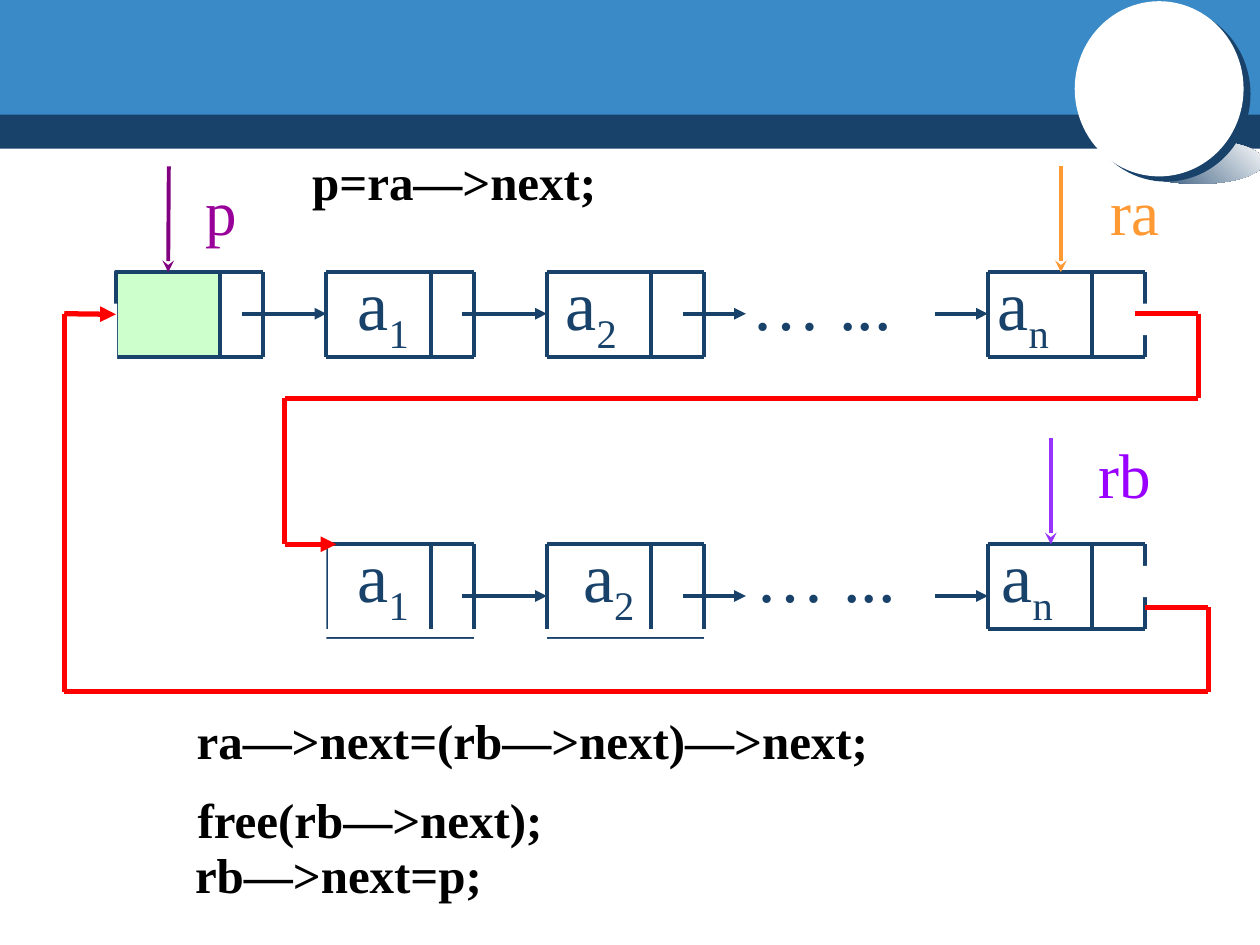
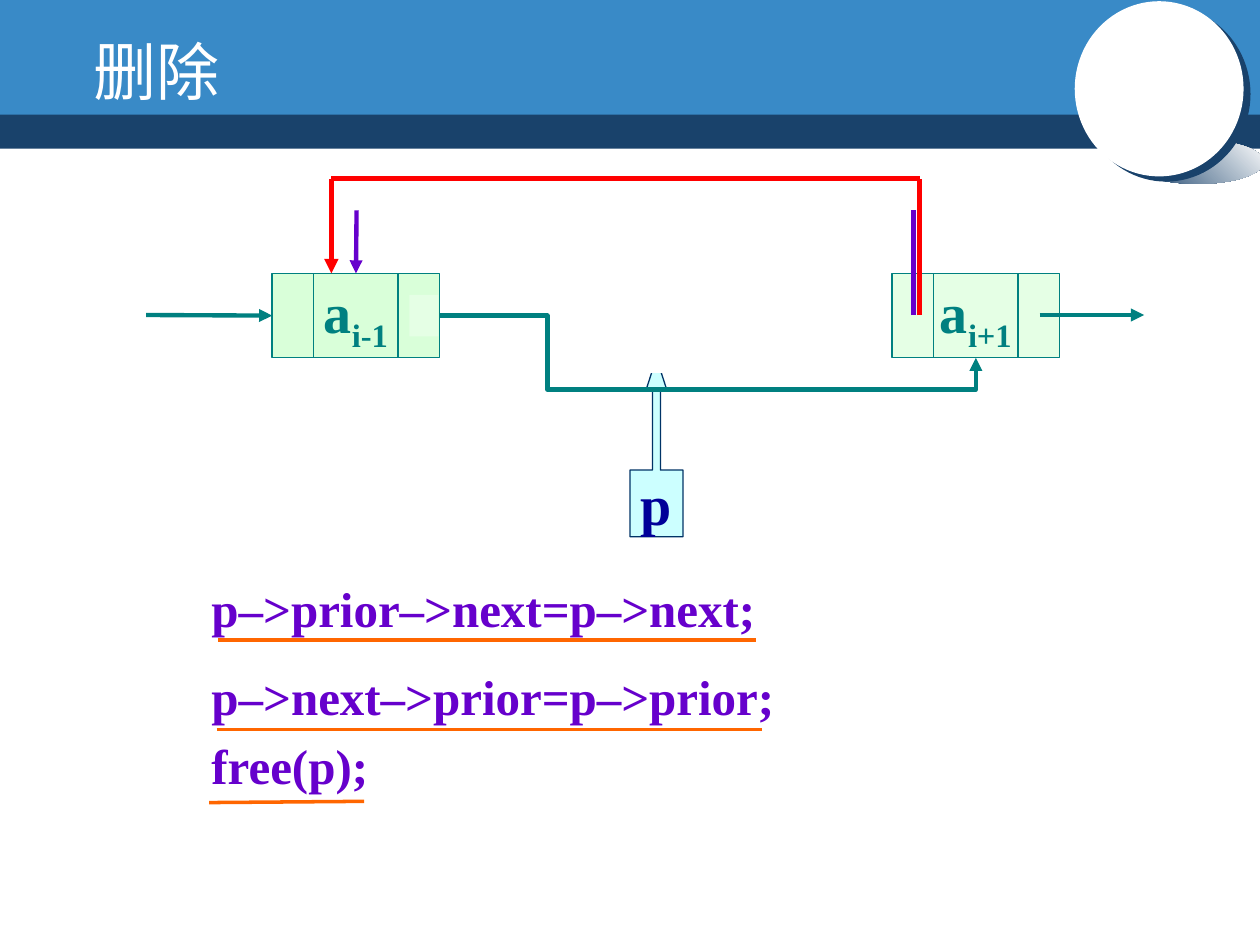
from lxml import etree
from pptx import Presentation
from pptx.dml.color import RGBColor
from pptx.enum.shapes import MSO_CONNECTOR, MSO_SHAPE
from pptx.enum.text import MSO_ANCHOR, PP_ALIGN
from pptx.oxml.ns import qn
from pptx.util import Inches, Pt

RECTANGLE, OVAL = MSO_SHAPE.RECTANGLE, MSO_SHAPE.OVAL
CALLOUT = MSO_SHAPE.UP_ARROW_CALLOUT
STRAIGHT, ELBOW = MSO_CONNECTOR.STRAIGHT, MSO_CONNECTOR.ELBOW
LEFT, CENTER = PP_ALIGN.LEFT, PP_ALIGN.CENTER
MIDDLE = MSO_ANCHOR.MIDDLE
TOP_SIDE, LEFT_SIDE, BOTTOM_SIDE, RIGHT_SIDE = range(4)

FONT = "Times New Roman"
NAVY, BLUE, WHITE, BLACK = "19426B", "398AC7", "FFFFFF", "000000"
RED, ORANGE, TEAL, PURPLE = "FF0000", "FF6600", "008080", "6600CC"
MINT, PALE_MINT = "D9FFD9", "E5FFE5"


def rgb(color):
    return RGBColor.from_string(color)


def write(frame, text, size=28, color=BLACK, bold=False, align=LEFT,
          space_before=0, line_spacing=None, new=False):
    """Write one paragraph; what follows an underscore is a subscript."""
    para = frame.add_paragraph() if new else frame.paragraphs[0]
    para.alignment = align
    para.space_before = Pt(space_before)
    if line_spacing:
        para.line_spacing = line_spacing
    base, _, subscript = text.partition("_")
    for part, offset in ((base, 0), (subscript, -25000)):
        if not part:
            continue
        span = para.add_run()
        span.text = part
        span.font.name = FONT
        span.font.size = Pt(size)
        span.font.bold = bold
        span.font.color.rgb = rgb(color)
        if offset:
            span._r.get_or_add_rPr().set("baseline", str(offset))


class Painter:
    """Holds the deck, its shared style and the page being drawn."""

    def __init__(self):
        self.deck = Presentation()
        self.deck.slide_width, self.deck.slide_height = Inches(10), Inches(7.5)
        self.page = None

    def start_page(self):
        self.page = self.deck.slides.add_slide(self.deck.slide_layouts[6])
        self.shape(0, 0.84, 10, 0.34, NAVY)
        self.shape(0, 0, 10, 0.91, BLUE)
        glow = self.shape(8.98, 1.11, 1.05, 0.35, NAVY, kind=OVAL)
        glow.fill.gradient()
        glow.fill.gradient_angle = 45
        for stop, color, place in zip(glow.fill.gradient_stops, (NAVY, WHITE), (0, 1)):
            stop.color.rgb = rgb(color)
            stop.position = place
        self.drop_shadow(self.shape(8.53, 0.01, 1.34, 1.39, WHITE, kind=OVAL))

    def drop_shadow(self, shape):
        effects = shape.element.spPr.find(qn("a:effectLst"))
        shadow = etree.SubElement(effects, qn("a:outerShdw"), blurRad="0",
                                  dist=str(Pt(5)), dir=str(37 * 60000),
                                  algn="ctr", rotWithShape="0")
        etree.SubElement(shadow, qn("a:srgbClr"), val=NAVY)

    def shape(self, left, top, width, height, fill, kind=RECTANGLE, line=None, line_width=0.75):
        shape = self.page.shapes.add_shape(
            kind, Inches(left), Inches(top), Inches(width), Inches(height))
        shape.shadow.inherit = False
        shape.fill.solid()
        shape.fill.fore_color.rgb = rgb(fill)
        if line:
            shape.line.color.rgb = rgb(line)
            shape.line.width = Pt(line_width)
        else:
            shape.line.fill.background()
        return shape

    def caption(self, shape, text, color):
        frame = shape.text_frame
        frame.word_wrap = False
        frame.vertical_anchor = MIDDLE
        write(frame, text, size=32, color=color, bold=True, align=CENTER)

    def text(self, left, top, width, height, text, wrap=True, **style):
        box = self.page.shapes.add_textbox(
            Inches(left), Inches(top), Inches(width), Inches(height))
        box.text_frame.word_wrap = wrap
        write(box.text_frame, text, **style)
        return box.text_frame

    def line(self, start, end, color, width, head=None, target=None, kind=STRAIGHT):
        """Draw a line; target is a shape and the side on which the line ends."""
        line = self.page.shapes.add_connector(kind, *map(Inches, (*start, *end)))
        if target:
            line.end_connect(*target)
        line.line.color.rgb = rgb(color)
        line.line.width = Pt(width)
        properties = line.element.spPr
        if head:
            etree.SubElement(properties.find(qn("a:ln")), qn("a:tailEnd"), type=head)
        etree.SubElement(properties, qn("a:effectLst"))
        return line

    def route(self, points, color, width, target=None):
        """Join the points with straight lines, the last one an arrow."""
        last = len(points) - 2
        for index, (start, end) in enumerate(zip(points, points[1:])):
            final = index == last
            self.line(start, end, color, width, "triangle" if final else None,
                      target if final else None)

    def elbow(self, start, end, source, target, color, width, bends):
        line = self.line(start, end, color, width, "triangle", target, ELBOW)
        line.begin_connect(*source)
        geometry = line.element.spPr.find(qn("a:prstGeom"))
        geometry.set("prst", "bentConnector4")
        guides = geometry.find(qn("a:avLst"))
        if guides is None:
            guides = etree.SubElement(geometry, qn("a:avLst"))
        for number, bend in enumerate(bends, 1):
            etree.SubElement(guides, qn("a:gd"), name=f"adj{number}",
                             fmla=f"val {round(bend * 100000)}")

    def list_node(self, left, right, top, base):
        """Draw an open cell pair whose sides are 0.67 high and whose base may lie lower."""
        for y in (top, base):
            self.line((left, y), (right, y), NAVY, 2.25)
        for x in (left, left + 0.83, right):
            self.line((x, top), (x, top + 0.67), NAVY, 2.25)


def draw_list_merge(painter):
    painter.start_page()
    first, second, last = (2.59, 3.76), (4.34, 5.59), (7.84, 9.09)
    upper, lower = 2.16, 4.32

    for node in ((0.92, 2.09), first, second, last):
        painter.list_node(*node, upper, upper + 0.67)
    for node, base in ((first, 5.07), (second, 5.07), (last, 4.99)):
        painter.list_node(*node, lower, base)
    header = painter.shape(0.92, upper, 0.83, 0.67, "CCFFCC", line=NAVY, line_width=2.25)

    links = [(3.67, 4.34), (5.42, 5.92), (7.42, 7.84)]
    for y, row_links in ((2.49, [(1.92, 2.59), *links]), (4.73, links)):
        for start, end in row_links:
            painter.line((start, y), (end, y), NAVY, 2.25, "triangle")

    for top, lefts in ((upper, (2.74, 4.39, 5.87, 7.82)), (lower, (2.74, 4.53, 5.9, 7.85))):
        for left, label in zip(lefts, ("a_1", "a_2", "… ...", "a_n")):
            painter.text(left, top - 0.14, 1.4, 0.8, label, size=40, color=NAVY)

    for gap in ((0.26, 2.41, 0.67, 0.67), (8.84, 2.41, 0.67, 0.25), (8.84, 4.49, 0.67, 0.25),
                (0.84, 3.82, 1.75, 1.25), (0.26, 5.07, 9.17, 0.42)):
        painter.shape(*gap, WHITE)

    painter.route([(9.01, 2.49), (9.51, 2.49), (9.51, 3.16), (2.26, 3.16),
                   (2.26, 4.32), (2.67, 4.32)], RED, 3)
    painter.route([(9.09, 4.82), (9.59, 4.82), (9.59, 5.49), (0.51, 5.49),
                   (0.51, 2.49), (0.92, 2.49)], RED, 3, (header, LEFT_SIDE))

    pointers = (
        ("p", 1.34, 1.34, upper, "990099", "800080", (header, TOP_SIDE)),
        ("ra", 8.59, 8.42, upper, "FF9933", "FF9933", None),
        ("rb", 8.51, 8.34, lower, "9900FF", "9933FF", None),
    )
    for name, left, x, tip, color, arrow_color, target in pointers:
        top = tip - (0.84 if tip == upper else 0.91)
        painter.text(left, top, 0.83, 0.7, name, size=36, color=color, align=CENTER)
        painter.line((x, tip - 0.84), (x, tip), arrow_color, 2.25, "stealth", target)

    painter.text(2.38, 1.15, 3.8, 0.57, "p=ra—>next;", bold=True)
    painter.text(0.39, 5.59, 7.67, 0.57, "ra—>next=(rb—>next)—>next;", bold=True, align=CENTER)
    painter.text(1.47, 6.22, 3.75, 0.57, "free(rb—>next);", bold=True)
    painter.text(1.45, 6.65, 4, 0.57, "rb—>next=p;", bold=True)


def draw_deletion(painter):
    painter.start_page()
    painter.text(0.64, 0.21, 1.2, 0.7, "删除", wrap=False, size=36, color=WHITE)

    nodes = []
    for left, fill, label in ((2.16, MINT, "a_i-1"), (7.08, PALE_MINT, "a_i+1")):
        node = painter.shape(left, 2.17, 1.33, 0.67, fill, line=TEAL)
        painter.caption(node, label, TEAL)
        for x in (left + 0.33, left + 1):
            painter.line((x, 2.17), (x, 2.84), TEAL, 0.75)
        nodes.append(node)
    previous, following = nodes
    painter.shape(3.25, 2.34, 0.23, 0.33, PALE_MINT)

    removed = painter.shape(5, 2.84, 0.42, 1.42, "CCFFFF", kind=CALLOUT, line="003366")
    for index, value in enumerate((0.15, 0.2, 0.617, 0.373)):
        removed.adjustments[index] = value
    painter.caption(removed, "p", "000099")
    painter.shape(4.52, 1.92, 2.48, 1.04, WHITE)

    painter.line((1.16, 2.5), (2.16, 2.5), TEAL, 2.5, "triangle", (previous, LEFT_SIDE))
    painter.line((8.25, 2.5), (9.08, 2.5), TEAL, 2.5, "triangle")
    painter.elbow((3.49, 2.5), (7.75, 2.84), (previous, RIGHT_SIDE), (following, BOTTOM_SIDE),
                  TEAL, 2.5, (0.201, 1.754))
    painter.line((7.25, 2.5), (7.25, 1.67), PURPLE, 2.5)
    painter.line((2.83, 1.67), (2.83, 2.17), PURPLE, 2.5, "triangle", (previous, TOP_SIDE))
    painter.route([(7.3, 2.5), (7.3, 1.42), (2.63, 1.42), (2.63, 2.17)], RED, 2.75)

    code = {"color": PURPLE, "bold": True}
    frame = painter.text(1.58, 4.54, 6.08, 2.53, "p–>prior–>next=p–>next;", **code)
    write(frame, "p–>next–>prior=p–>prior;", line_spacing=1.5, new=True, **code)
    write(frame, "free(p);", space_before=5.6, new=True, **code)
    for start, end in (((1.73, 5.08), (6, 5.08)), ((1.72, 5.79), (6.05, 5.79)),
                       ((1.66, 6.37), (2.89, 6.36))):
        painter.line(start, end, ORANGE, 2)


def main():
    painter = Painter()
    draw_list_merge(painter)
    draw_deletion(painter)
    painter.deck.save("out.pptx")


if __name__ == "__main__":
    main()
